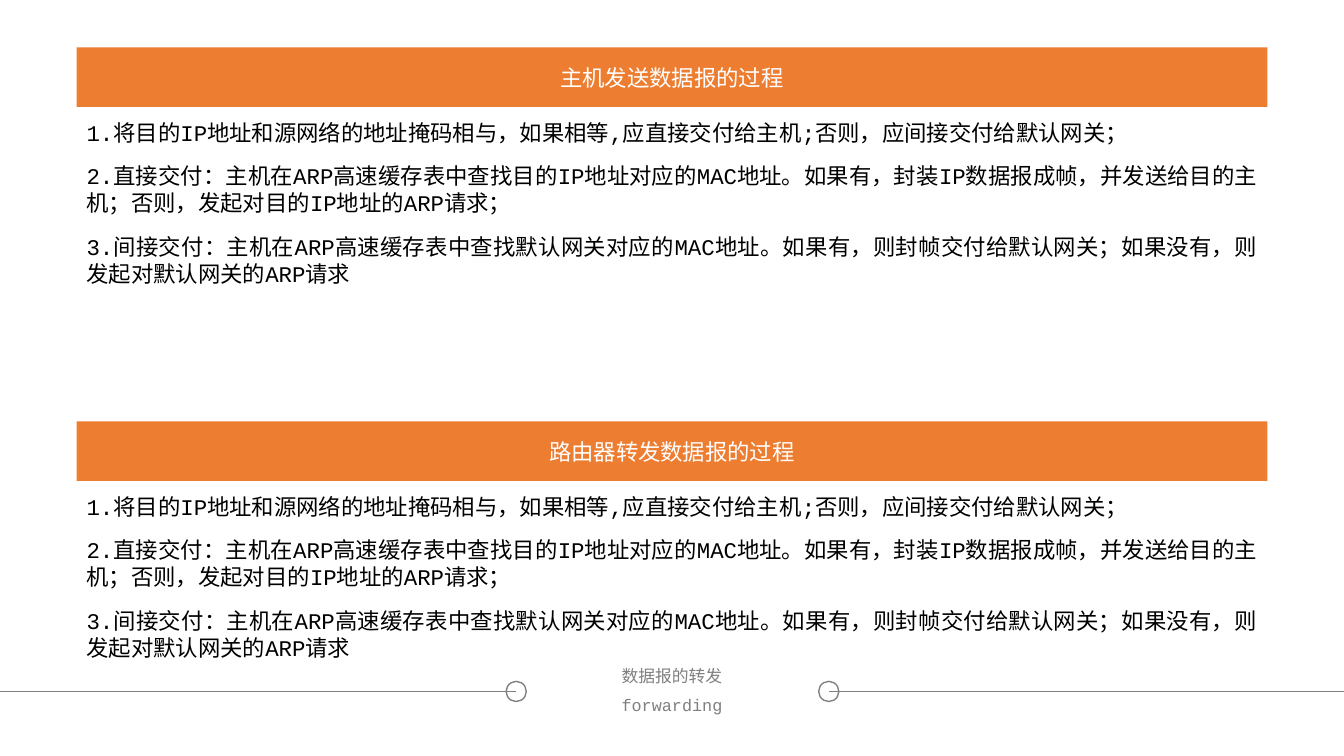
from dataclasses import dataclass

from lxml import etree
from pptx import Presentation
from pptx import util as u
from pptx.dml.color import RGBColor
from pptx.enum import lang, shapes, text
from pptx.oxml.ns import qn


@dataclass(frozen=True)
class Theme:
    accent: str = "ED7D31"
    on_accent: str = "FFFFFF"
    ink: str = "000000"
    muted: str = "808080"
    latin: str = "Courier New"
    chinese: str = "Noto Sans CJK SC"
    body_size: int = 16
    footer_size: int = 12


THEME = Theme()

# Page layout in inches: two sections stacked at an equal pitch
PAGE_W, PAGE_H = 13.33, 7.5
MARGIN = 0.76
CONTENT_W = PAGE_W - 2 * MARGIN
SECTION_TOP, SECTION_PITCH = 0.47, 3.71
BANNER_H, STEPS_OFFSET, STEPS_H = 0.59, 0.66, 1.78
FOOTER_LEFT, FOOTER_W, FOOTER_H = 5.21, 2.91, 0.28
RULE_Y, RING = 6.86, 0.2

SECTIONS = ["主机发送数据报的过程", "路由器转发数据报的过程"]
STEPS = [
    "1.将目的IP地址和源网络的地址掩码相与，如果相等,应直接交付给主机;否则，应间接交付给默认网关；",
    "2.直接交付：主机在ARP高速缓存表中查找目的IP地址对应的MAC地址。如果有，封装IP数据报成帧，"
    "并发送给目的主机；否则，发起对目的IP地址的ARP请求；",
    "3.间接交付：主机在ARP高速缓存表中查找默认网关对应的MAC地址。如果有，则封帧交付给默认网关；"
    "如果没有，则发起对默认网关的ARP请求",
]


def inches(*lengths):
    return [u.Inches(length) for length in lengths]


def add_run(paragraph, words, size, color, latin):
    run = paragraph.add_run()
    run.text = words
    run.font.size = u.Pt(size)
    run.font.color.rgb = RGBColor.from_string(color)
    run.font.name = latin
    run.font.language_id = lang.MSO_LANGUAGE_ID.SIMPLIFIED_CHINESE
    etree.SubElement(run.font._element, qn("a:ea"), typeface=THEME.chinese)


def add_banner(slide, title, top):
    banner = slide.shapes.add_shape(
        shapes.MSO_SHAPE.RECTANGLE, *inches(MARGIN, top, CONTENT_W, BANNER_H))
    banner.shadow.inherit = False
    banner.fill.solid()
    banner.fill.fore_color.rgb = RGBColor.from_string(THEME.accent)
    banner.line.fill.background()
    banner.text_frame.vertical_anchor = text.MSO_ANCHOR.MIDDLE
    heading = banner.text_frame.paragraphs[0]
    heading.alignment = text.PP_ALIGN.CENTER
    add_run(heading, title, THEME.body_size, THEME.on_accent, THEME.chinese)


def add_steps(slide, top):
    frame = slide.shapes.add_textbox(
        *inches(MARGIN, top, CONTENT_W, STEPS_H)).text_frame
    frame.word_wrap = True
    for i, step in enumerate(STEPS):
        paragraph = frame.add_paragraph() if i else frame.paragraphs[0]
        paragraph.alignment = text.PP_ALIGN.JUSTIFY
        paragraph.space_after = u.Pt(12)
        add_run(paragraph, step, THEME.body_size, THEME.ink, THEME.latin)


def add_footer_line(slide, words, top, latin):
    frame = slide.shapes.add_textbox(
        *inches(FOOTER_LEFT, top, FOOTER_W, FOOTER_H)).text_frame
    frame.word_wrap = True
    frame.vertical_anchor = text.MSO_ANCHOR.MIDDLE
    frame.margin_top = frame.margin_bottom = u.Inches(0.04)
    paragraph = frame.paragraphs[0]
    paragraph.alignment = text.PP_ALIGN.CENTER
    paragraph.line_spacing = 0.9
    add_run(paragraph, words, THEME.footer_size, THEME.muted, latin)


def add_rule(slide, ring_x, edge_x):
    """A ring with a thin line from its centre to the slide's edge."""
    ring = slide.shapes.add_shape(
        shapes.MSO_SHAPE.OVAL,
        *inches(ring_x - RING / 2, RULE_Y - RING / 2, RING, RING))
    ring.shadow.inherit = False
    ring.fill.background()
    rule = slide.shapes.add_connector(
        shapes.MSO_CONNECTOR.STRAIGHT, *inches(ring_x, RULE_Y, edge_x, RULE_Y))
    etree.SubElement(rule._element.spPr, qn("a:effectLst"))
    for outline, width in ((ring.line, 1), (rule.line, 0.5)):
        outline.color.rgb = RGBColor.from_string(THEME.muted)
        outline.width = u.Pt(width)


def main():
    deck = Presentation()
    deck.slide_width, deck.slide_height = inches(PAGE_W, PAGE_H)
    slide = deck.slides.add_slide(deck.slide_layouts[6])

    # Footer rules
    add_rule(slide, 8.22, PAGE_W)
    add_rule(slide, 5.12, 0)

    # Sections
    for row, title in enumerate(SECTIONS):
        top = SECTION_TOP + row * SECTION_PITCH
        add_banner(slide, title, top)
        add_steps(slide, top + STEPS_OFFSET)

    # Footer title
    add_footer_line(slide, "数据报的转发", RULE_Y - FOOTER_H, THEME.chinese)
    add_footer_line(slide, "forwarding", RULE_Y, THEME.latin)

    deck.save("out.pptx")


if __name__ == "__main__":
    main()
